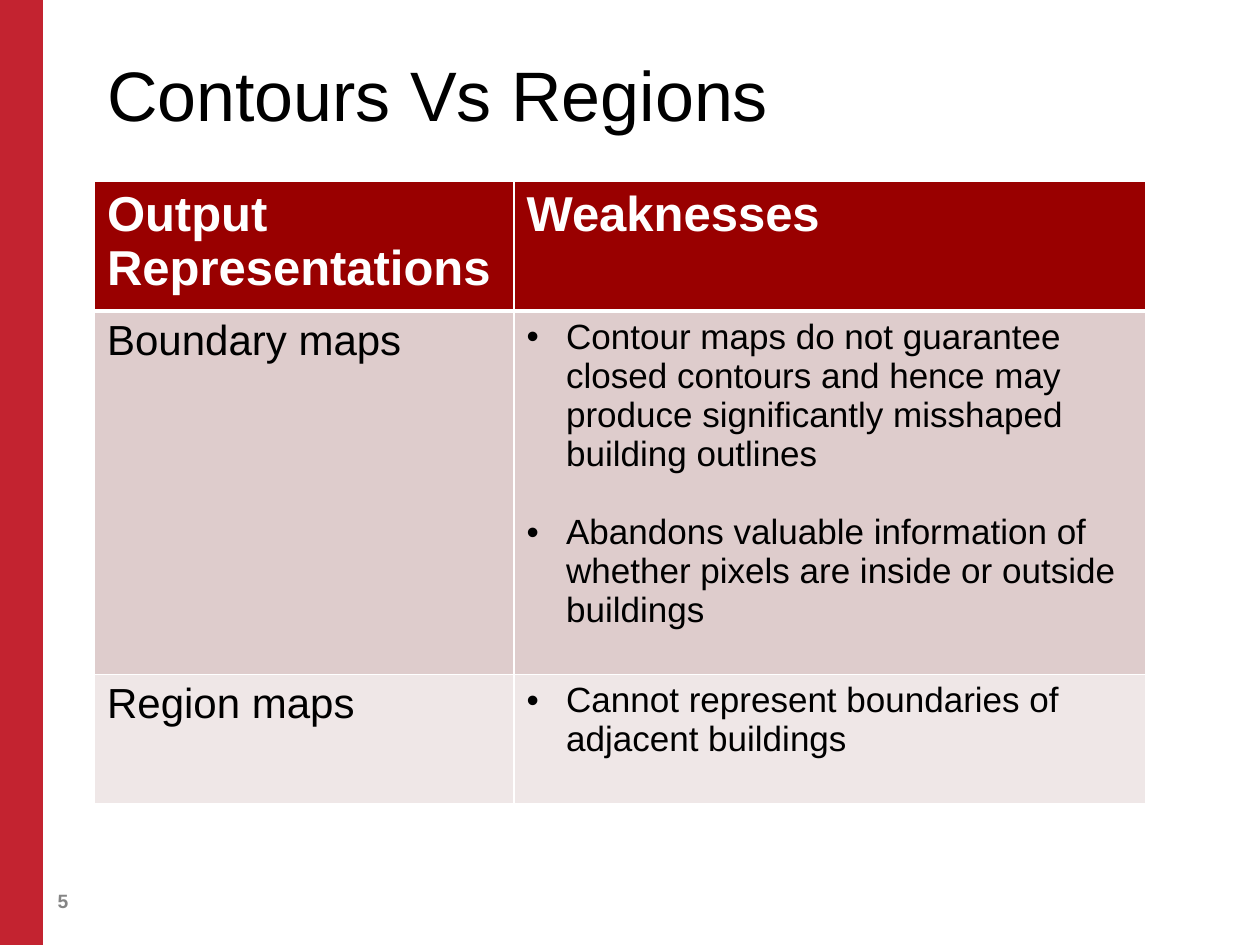
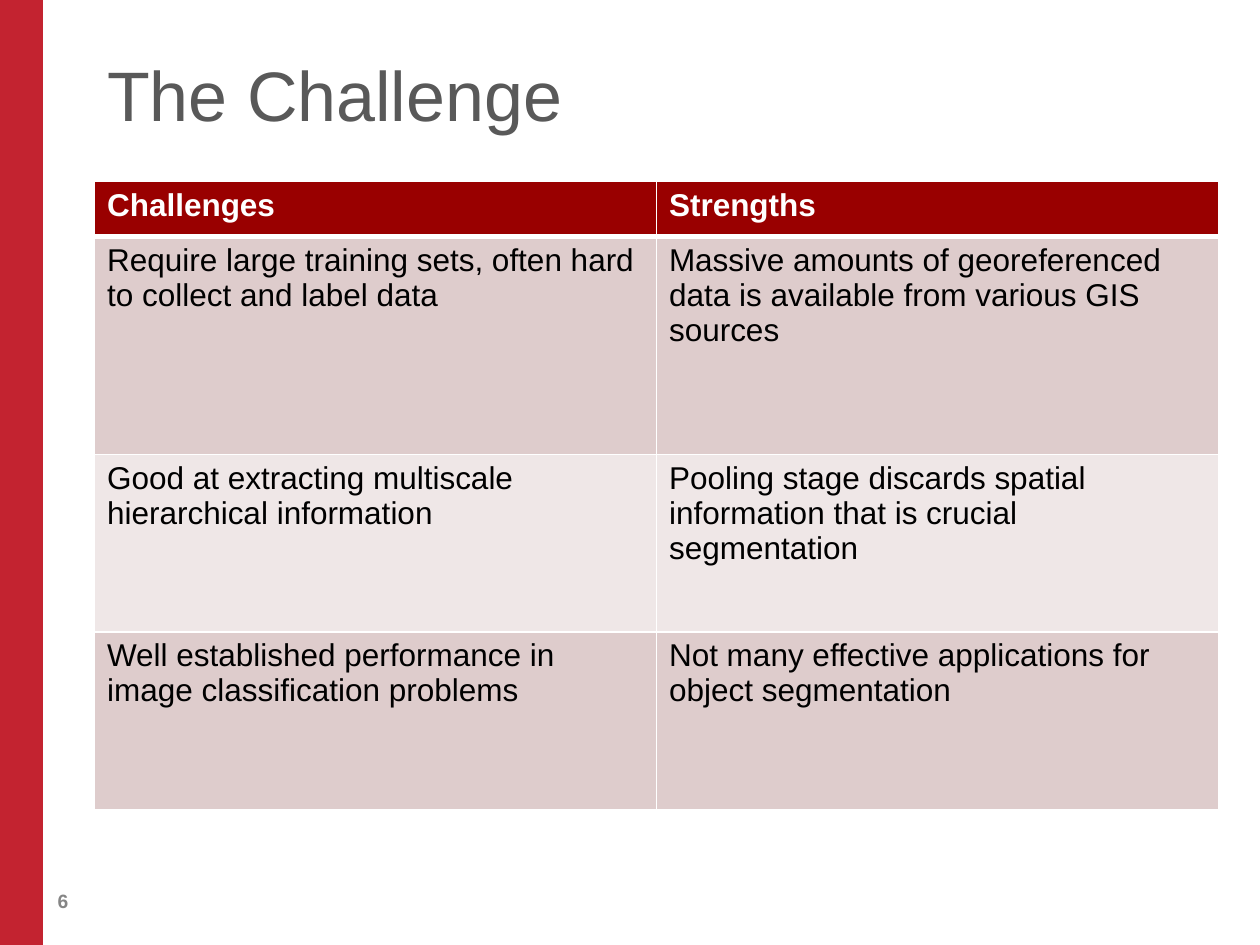
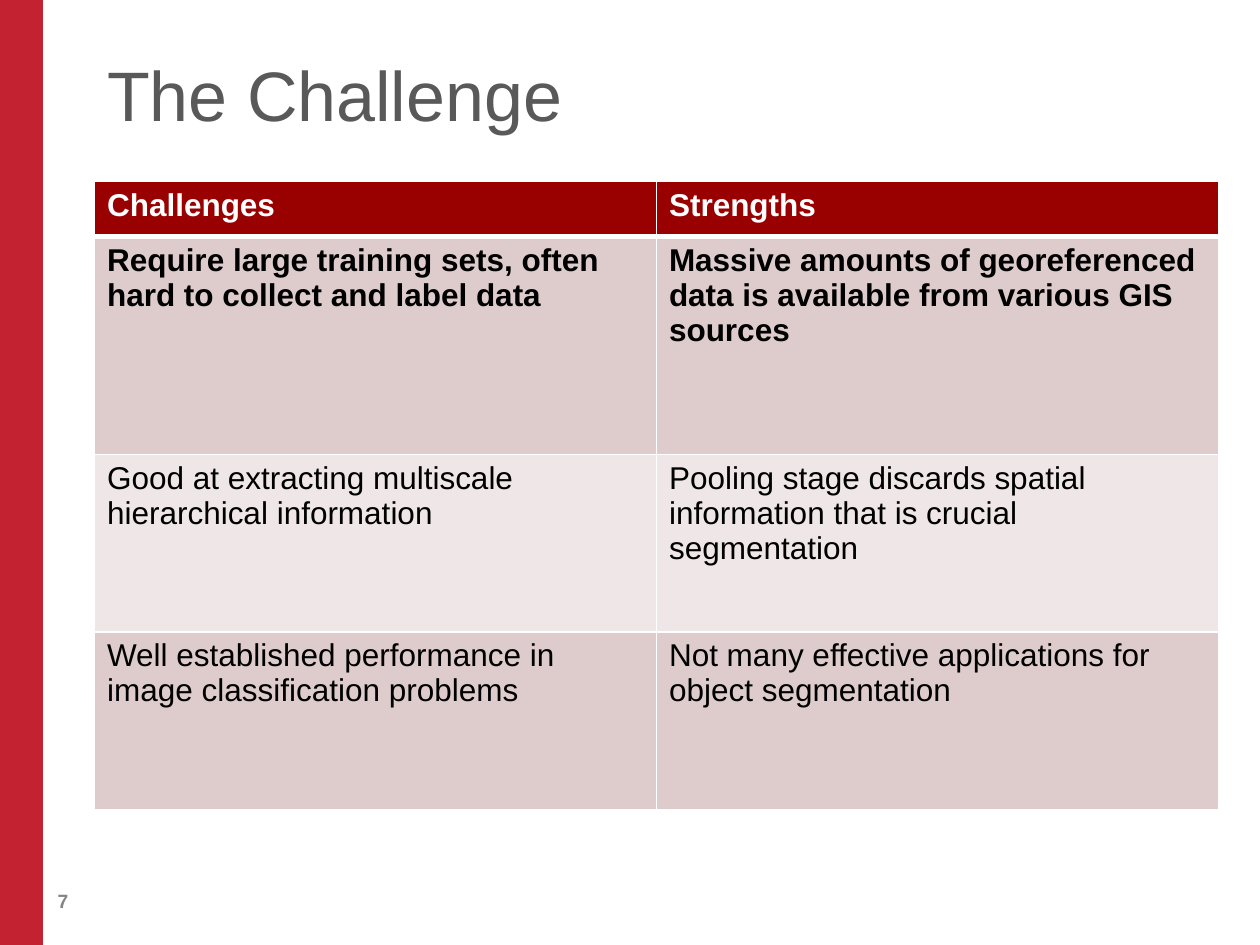
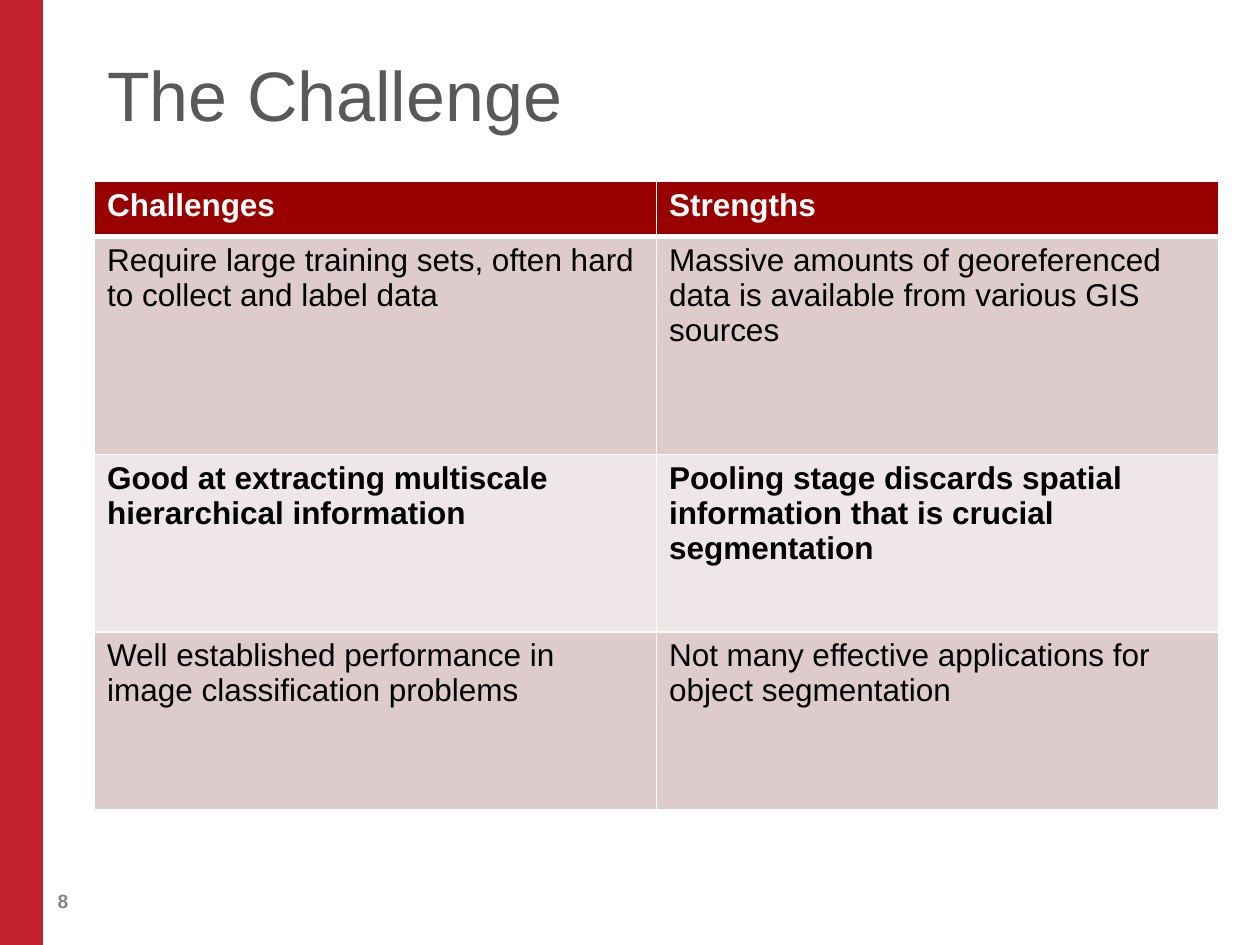
from dataclasses import dataclass
from typing import Optional

from lxml.etree import SubElement
from pptx import Presentation
from pptx.dml.color import RGBColor
from pptx.enum.shapes import MSO_SHAPE
from pptx.enum.text import MSO_ANCHOR, MSO_AUTO_SIZE, PP_ALIGN
from pptx.oxml.ns import qn
from pptx.util import Pt

# Shared look
FONT = "Arial"
WHITE = RGBColor(0xFF, 0xFF, 0xFF)
BLACK = RGBColor(0x00, 0x00, 0x00)
TITLE_GREY = RGBColor(0x59, 0x59, 0x59)
NUMBER_GREY = RGBColor(0x85, 0x85, 0x85)
BAND_RED = RGBColor(0xC3, 0x23, 0x30)
HEADER_RED = RGBColor(0x99, 0x00, 0x00)
ROW_FILLS = (RGBColor(0xDE, 0xCC, 0xCC), RGBColor(0xEF, 0xE7, 0xE7))

PAGE_WIDTH, PAGE_HEIGHT = Pt(720), Pt(540)
LEFT = Pt(54)
CONTENT_WIDTH = Pt(642.24)
FIRST_NUMBER = 5
BULLET_INDENT = Pt(22.5)
BULLET_GAP = Pt(22.3)


@dataclass(frozen=True)
class Bullets:
    items: tuple[str, ...]


Entry = str | Bullets


@dataclass(frozen=True)
class Grid:
    top: float
    widths: tuple[float, ...]
    heights: tuple[float, ...]
    header_size: float
    text_size: float
    rows: tuple[tuple[Entry, ...], ...]
    bullet_size: float = 20


@dataclass(frozen=True)
class Page:
    title: str
    grid: Grid
    title_color: RGBColor = TITLE_GREY
    bold_row: Optional[int] = None


# Content
REPRESENTATIONS = Grid(
    top=103.3, widths=(239.8, 361.2), heights=(69.2, 207.8, 74),
    header_size=28, text_size=24,
    rows=(
        ("Output Representations", "Weaknesses"),
        ("Boundary maps", Bullets((
            "Contour maps do not guarantee closed contours and hence may "
            "produce significantly misshaped building outlines",
            "Abandons valuable information of whether pixels are inside "
            "or outside buildings",
        ))),
        ("Region maps", Bullets((
            "Cannot represent boundaries of adjacent buildings",))),
    ),
)
CHALLENGES = Grid(
    top=103.7, widths=(321.12, 321.12), heights=(31.4, 124.6, 101.4, 101.4),
    header_size=18, text_size=18,
    rows=(
        ("Challenges", "Strengths"),
        ("Require large training sets, often hard to collect and label data",
         "Massive amounts of georeferenced data is available from various GIS sources"),
        ("Good at extracting multiscale hierarchical information",
         "Pooling stage discards spatial information that is crucial segmentation"),
        ("Well established performance in image classification problems",
         "Not many effective applications for object segmentation"),
    ),
)
PAGES = (
    Page("Contours Vs Regions", REPRESENTATIONS, title_color=BLACK),
    Page("The Challenge", CHALLENGES),
    Page("The Challenge", CHALLENGES, bold_row=1),
    Page("The Challenge", CHALLENGES, bold_row=2),
)


def style(paragraph, size: float, color: RGBColor, bold: bool = False) -> None:
    font = paragraph.font
    font.name, font.size, font.bold = FONT, Pt(size), bold
    font.color.rgb = color


def add_bullet(paragraph) -> None:
    properties = paragraph._p.get_or_add_pPr()
    properties.set("marL", str(BULLET_INDENT))
    properties.set("indent", str(-BULLET_INDENT))
    SubElement(properties, qn("a:buFont")).set("typeface", FONT)
    SubElement(properties, qn("a:buChar")).set("char", "•")


def add_borders(cell, row: int) -> None:
    """Thin white lines all round, with a thick one under the header."""
    widths = {"L": 1, "R": 1, "T": 3 if row == 1 else 1, "B": 3 if row == 0 else 1}
    properties = cell._tc.get_or_add_tcPr()
    for side, width in widths.items():
        line = SubElement(properties, qn(f"a:ln{side}"), w=str(Pt(width)))
        fill = SubElement(line, qn("a:solidFill"))
        SubElement(fill, qn("a:srgbClr"), val=str(WHITE))


def add_frame(slide, number: int) -> None:
    """Side band and page number."""
    band = slide.shapes.add_shape(MSO_SHAPE.RECTANGLE, 0, 0, Pt(24.5), PAGE_HEIGHT)
    band.shadow.inherit = False
    band.fill.solid()
    band.fill.fore_color.rgb = BAND_RED
    band.line.fill.background()

    box = slide.shapes.add_textbox(Pt(25.9), Pt(500.4), Pt(54), Pt(28.8))
    frame = box.text_frame
    frame.word_wrap = True
    frame.vertical_anchor = MSO_ANCHOR.MIDDLE
    frame.text = str(number)
    style(frame.paragraphs[0], 11, NUMBER_GREY, bold=True)


def set_title(slide, text: str, color: RGBColor) -> None:
    title = slide.shapes.title
    title.left, title.top = LEFT, Pt(21.6)
    title.width, title.height = CONTENT_WIDTH, Pt(81.4)
    frame = title.text_frame
    frame.auto_size = MSO_AUTO_SIZE.NONE
    frame.vertical_anchor = MSO_ANCHOR.TOP
    frame.margin_top = Pt(8)
    frame.text = text
    paragraph = frame.paragraphs[0]
    paragraph.alignment = PP_ALIGN.LEFT
    style(paragraph, 40, color)


def fill_cell(cell, entry: Entry, grid: Grid, row: int, bold: bool) -> None:
    add_borders(cell, row)
    cell.fill.solid()
    cell.fill.fore_color.rgb = HEADER_RED if row == 0 else ROW_FILLS[(row - 1) % 2]
    frame = cell.text_frame
    if isinstance(entry, Bullets):
        frame.text = "\n".join(entry.items)
        for index, paragraph in enumerate(frame.paragraphs):
            if index:
                paragraph.space_before = BULLET_GAP
            add_bullet(paragraph)
            style(paragraph, grid.bullet_size, BLACK, bold)
        return
    frame.text = entry
    if row == 0:
        style(frame.paragraphs[0], grid.header_size, WHITE, bold=True)
    else:
        style(frame.paragraphs[0], grid.text_size, BLACK, bold)


def add_grid(slide, grid: Grid, bold_row: Optional[int]) -> None:
    table = slide.shapes.add_table(
        len(grid.rows), len(grid.widths), LEFT, Pt(grid.top),
        Pt(sum(grid.widths)), Pt(sum(grid.heights))).table
    for column, width in zip(table.columns, grid.widths):
        column.width = Pt(width)
    for row, (entries, height) in enumerate(zip(grid.rows, grid.heights)):
        table.rows[row].height = Pt(height)
        for column, entry in enumerate(entries):
            fill_cell(table.cell(row, column), entry, grid, row, row == bold_row)


def main() -> None:
    deck = Presentation()
    deck.slide_width, deck.slide_height = PAGE_WIDTH, PAGE_HEIGHT
    title_only = deck.slide_layouts.get_by_name("Title Only")
    for number, page in enumerate(PAGES, FIRST_NUMBER):
        slide = deck.slides.add_slide(title_only)
        add_frame(slide, number)
        set_title(slide, page.title, page.title_color)
        add_grid(slide, page.grid, page.bold_row)
    deck.save("out.pptx")


if __name__ == "__main__":
    main()
